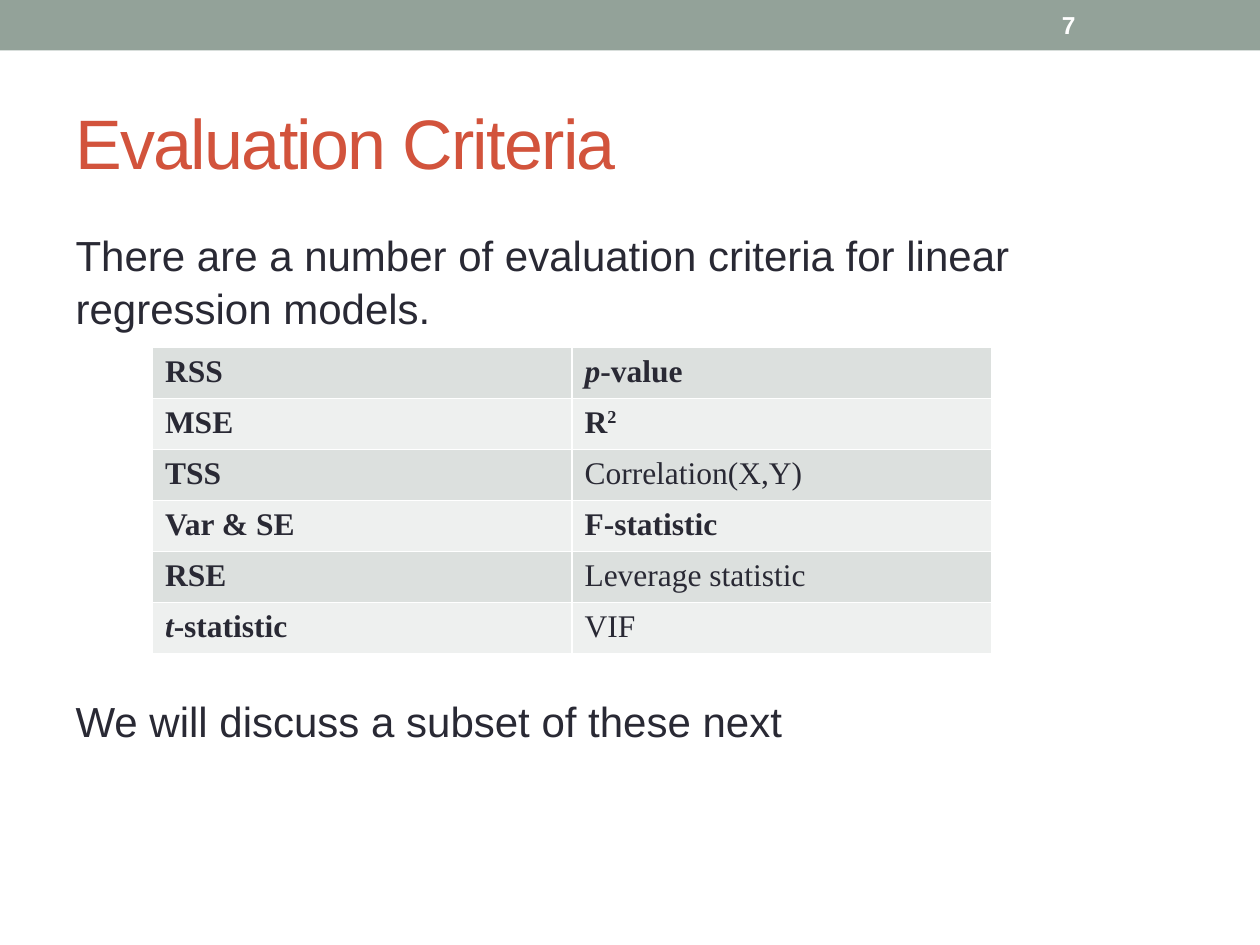
from dataclasses import dataclass

import pptx
import pptx.dml.color
import pptx.enum.shapes
import pptx.enum.text
import pptx.oxml
import pptx.oxml.ns
import pptx.util
from pptx.util import Inches


@dataclass(frozen=True)
class Theme:
    heading: str = "D2533C"
    ink: str = "292934"
    bar: str = "93A299"
    white: str = "FFFFFF"
    bands: tuple[str, str] = ("DCE0DE", "EEF0EF")
    sans: str = "Arial"
    serif: str = "Times New Roman"
    title_size: int = 40
    body_size: int = 24
    table_size: int = 18
    number_size: int = 14


@dataclass(frozen=True)
class Piece:
    text: str
    bold: bool = True
    italic: bool = False
    superscript: bool = False


THEME = Theme()

CRITERIA: list[tuple[list[Piece], list[Piece]]] = [
    ([Piece("RSS")], [Piece("p", italic=True), Piece("-value")]),
    ([Piece("MSE")], [Piece("R"), Piece("2", superscript=True)]),
    ([Piece("TSS")], [Piece("Correlation(X,Y)", bold=False)]),
    ([Piece("Var & SE")], [Piece("F-statistic")]),
    ([Piece("RSE")], [Piece("Leverage statistic", bold=False)]),
    ([Piece("t", italic=True), Piece("-statistic")], [Piece("VIF", bold=False)]),
]


def rgb(colour: str) -> pptx.dml.color.RGBColor:
    return pptx.dml.color.RGBColor.from_string(colour)


def place(shape, left: float, top: float, width: float, height: float) -> None:
    shape.left, shape.top = Inches(left), Inches(top)
    shape.width, shape.height = Inches(width), Inches(height)


def style_run(run, face: str, size: int, colour: str, bold: bool = False) -> None:
    run.font.name = face
    run.font.size = pptx.util.Pt(size)
    run.font.color.rgb = rgb(colour)
    run.font.bold = bold


def add_borders(cell, colour: str) -> None:
    """Draw 1 pt lines on all sides; they must precede the cell fill."""
    properties = cell._tc.get_or_add_tcPr()
    for position, side in enumerate(("lnL", "lnR", "lnT", "lnB")):
        properties.insert(position, pptx.oxml.parse_xml(
            f'<a:{side} {pptx.oxml.ns.nsdecls("a")} w="12700"><a:solidFill>'
            f'<a:srgbClr val="{colour}"/></a:solidFill></a:{side}>'))


def fill_cell(cell, pieces: list[Piece], band: str) -> None:
    cell.fill.solid()
    cell.fill.fore_color.rgb = rgb(band)
    add_borders(cell, THEME.white)
    paragraph = cell.text_frame.paragraphs[0]
    for piece in pieces:
        run = paragraph.add_run()
        run.text = piece.text
        style_run(run, THEME.serif, THEME.table_size, THEME.ink, piece.bold)
        run.font.italic = piece.italic
        if piece.superscript:
            run.font._element.set("baseline", "30000")


presentation = pptx.Presentation()
presentation.slide_width, presentation.slide_height = Inches(10), Inches(7.5)
slide = presentation.slides.add_slide(presentation.slide_layouts[1])

# Top bar and page number
bar = slide.shapes.add_shape(pptx.enum.shapes.MSO_SHAPE.RECTANGLE,
                             0, 0, Inches(10), Inches(0.4))
bar.shadow.inherit = False
bar.fill.solid()
bar.fill.fore_color.rgb = rgb(THEME.bar)
bar.line.fill.background()

page_number = slide.shapes.add_textbox(Inches(8.33), Inches(0.02),
                                       Inches(1.17), Inches(0.36))
page_number.text_frame.word_wrap = True
page_number.text_frame.vertical_anchor = pptx.enum.text.MSO_ANCHOR.MIDDLE
page_number.text_frame.text = "7"
style_run(page_number.text_frame.paragraphs[0].runs[0],
          THEME.sans, THEME.number_size, THEME.white, bold=True)

# Title
title = slide.shapes.title
place(title, 0.5, 0.58, 9, 1.08)
title.text_frame.text = "Evaluation Criteria"
title.text_frame.auto_size = pptx.enum.text.MSO_AUTO_SIZE.NONE
title.text_frame.vertical_anchor = pptx.enum.text.MSO_ANCHOR.MIDDLE
heading = title.text_frame.paragraphs[0]
heading.alignment = pptx.enum.text.PP_ALIGN.LEFT
style_run(heading.runs[0], THEME.sans, THEME.title_size, THEME.heading)
heading.runs[0].font._element.set("spc", "-100")

# Body sentences, spaced to leave room for the table
body = slide.placeholders[1]
place(body, 0.5, 1.75, 9, 5.33)
body.text_frame.text = (
    "There are a number of evaluation criteria for linear regression models.\n"
    "We will discuss a subset of these next")
body.text_frame.auto_size = pptx.enum.text.MSO_AUTO_SIZE.NONE
for sentence, space_before in zip(body.text_frame.paragraphs, (0, 206)):
    sentence.space_before = pptx.util.Pt(space_before)
    sentence.line_spacing = 1.05
    properties = sentence._p.get_or_add_pPr()
    properties.set("marL", "0")
    properties.set("indent", "0")
    properties.append(pptx.oxml.parse_xml(
        f'<a:buNone {pptx.oxml.ns.nsdecls("a")}/>'))
    style_run(sentence.runs[0], THEME.sans, THEME.body_size, THEME.ink)

# Criteria table
criteria_table = slide.shapes.add_table(
    len(CRITERIA), 2, Inches(1.21), Inches(2.76), Inches(6.66), Inches(2.43)).table
criteria_table.first_row = False
criteria_table.horz_banding = False
for row, criteria in enumerate(CRITERIA):
    for column, pieces in enumerate(criteria):
        fill_cell(criteria_table.cell(row, column), pieces, THEME.bands[row % 2])

presentation.save("out.pptx")
